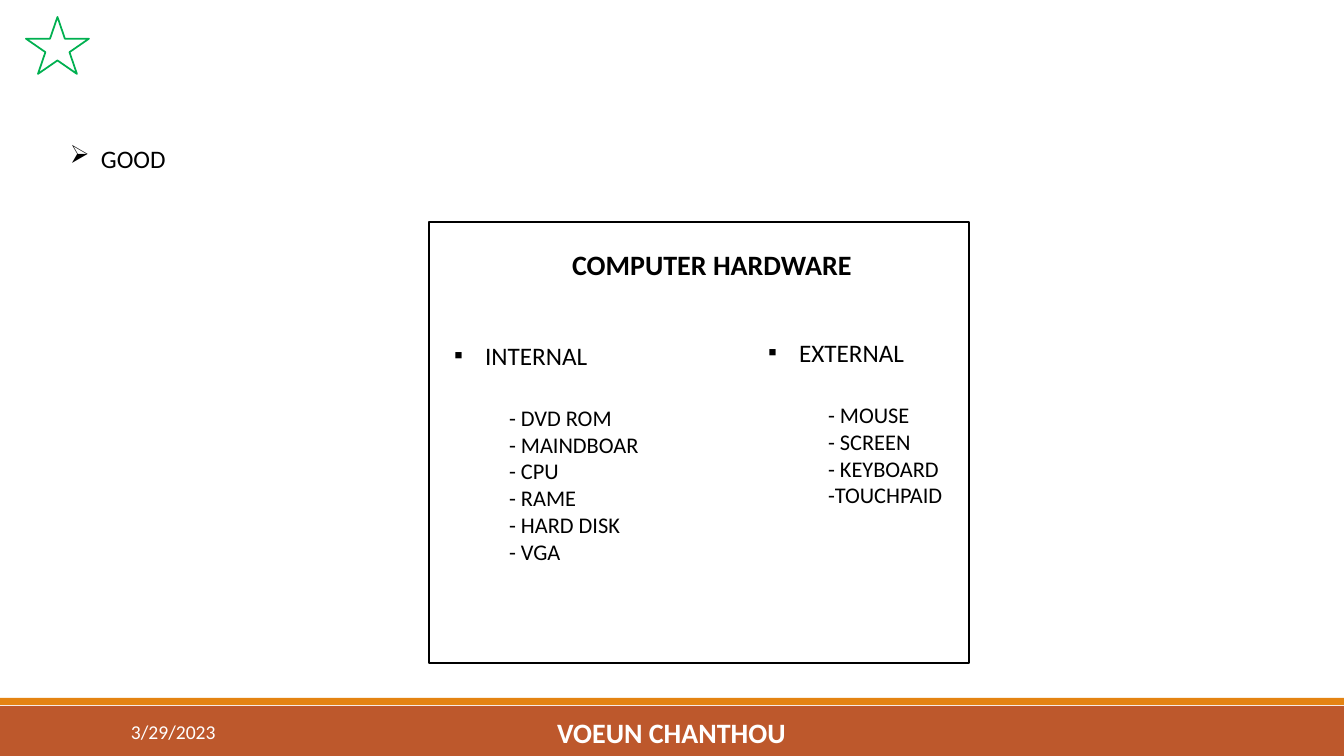
from dataclasses import dataclass

from lxml import etree
from pptx import Presentation
from pptx.dml.color import RGBColor
from pptx.enum.shapes import MSO_SHAPE
from pptx.enum.text import MSO_ANCHOR, MSO_AUTO_SIZE, PP_ALIGN
from pptx.oxml.ns import qn
from pptx.util import Pt

RECTANGLE, STAR = MSO_SHAPE.RECTANGLE, MSO_SHAPE.STAR_5_POINT
TOP, MIDDLE = MSO_ANCHOR.TOP, MSO_ANCHOR.MIDDLE
LEFT, CENTER = PP_ALIGN.LEFT, PP_ALIGN.CENTER
FIXED_SIZE = MSO_AUTO_SIZE.NONE
PIXEL = 914400 / 100.8
HANGING = 31
TWO_CONTENT = 3


@dataclass(frozen=True)
class Theme:
    """Colours, font and type sizes of the slide."""
    font: str = "Calibri"
    black: RGBColor = RGBColor(0x00, 0x00, 0x00)
    white: RGBColor = RGBColor(0xFF, 0xFF, 0xFF)
    rust: RGBColor = RGBColor(0xBD, 0x58, 0x2C)
    orange: RGBColor = RGBColor(0xE4, 0x83, 0x12)
    green: RGBColor = RGBColor(0x00, 0xB0, 0x50)
    title: int = 20
    heading: int = 18
    item: int = 16
    date: int = 14


theme = Theme()
deck = Presentation()
deck.slide_width, deck.slide_height = round(1344 * PIXEL), round(756 * PIXEL)
page = deck.slides.add_slide(deck.slide_layouts[TWO_CONTENT])
title, internal, external = page.placeholders


def write(box, bounds, lines, size, color=theme.black, bold=False,
          align=LEFT, anchor=TOP):
    """Place a text object and fill it with evenly formatted paragraphs."""
    box.left, box.top, box.width, box.height = [round(n * PIXEL) for n in bounds]
    frame = box.text_frame
    frame.text = "\n".join(lines)
    frame.word_wrap = True
    frame.auto_size = FIXED_SIZE
    frame.vertical_anchor = anchor
    for para in frame.paragraphs:
        para.alignment = align
        para.space_before = Pt(0)
        para.line_spacing = 1.0
        font = para.runs[0].font
        font.name, font.size, font.bold = theme.font, Pt(size), bold
        font.color.rgb = color


def set_bullet(para, indent, symbol=None):
    """Indent a paragraph, with a hanging bullet if a symbol is given."""
    properties = para._p.get_or_add_pPr()
    properties.set("marL", str(round(indent * PIXEL)))
    properties.set("indent", str(round(-HANGING * PIXEL) if symbol else 0))
    if symbol:
        etree.SubElement(properties, qn("a:buChar")).set("char", symbol)
    else:
        etree.SubElement(properties, qn("a:buNone"))


# Footer bars, hardware frame and star, kept behind the text
for kind, bounds, fill, line in (
    (RECTANGLE, (0, 706, 1344, 50), theme.rust, None),
    (RECTANGLE, (0, 698, 1344, 7), theme.orange, None),
    (RECTANGLE, (429, 222, 540, 441), theme.white, theme.black),
    (STAR, (26, 17, 63, 57), theme.white, theme.green),
):
    shape = page.shapes.add_shape(kind, *[round(n * PIXEL) for n in bounds])
    shape.shadow.inherit = False
    shape.fill.solid()
    shape.fill.fore_color.rgb = fill
    if line is None:
        shape.line.fill.background()
    else:
        shape.line.color.rgb = line
        shape.line.width = Pt(1.25)
    title.element.addprevious(shape.element)

# Footer text
date, author, remark = [page.shapes.add_textbox(0, 0, 0, 0) for _ in range(3)]
write(date, (121, 712, 272, 40), ["3/29/2023"], theme.date, theme.white,
      anchor=MIDDLE)
write(author, (406, 712, 531, 40), ["VOEUN CHANTHOU"], theme.title, theme.white,
      bold=True, align=CENTER, anchor=MIDDLE)

# Remark and title
write(remark, (60, 138, 184, 40), ["GOOD"], theme.heading)
set_bullet(remark.text_frame.paragraphs[0], HANGING, "➢")
write(title, (562, 242, 316, 44), ["COMPUTER HARDWARE"], theme.title, bold=True)

# Hardware lists
for body, bounds, indent, heading, items in (
    (internal, (444, 335, 229, 298), 55, "INTERNAL",
     ["- DVD ROM", "- MAINDBOAR", "- CPU", "- RAME", "- HARD DISK", "- VGA"]),
    (external, (758, 332, 200, 183), 60, "EXTERNAL",
     ["- MOUSE", "- SCREEN", "- KEYBOARD", "-TOUCHPAID"]),
):
    write(body, bounds, [heading, *items], theme.item)
    first, *rest = body.text_frame.paragraphs
    first.runs[0].font.size = Pt(theme.heading)
    first.space_after = Pt(24)
    set_bullet(first, HANGING, "▪")
    for para in rest:
        set_bullet(para, indent)

deck.save("out.pptx")
